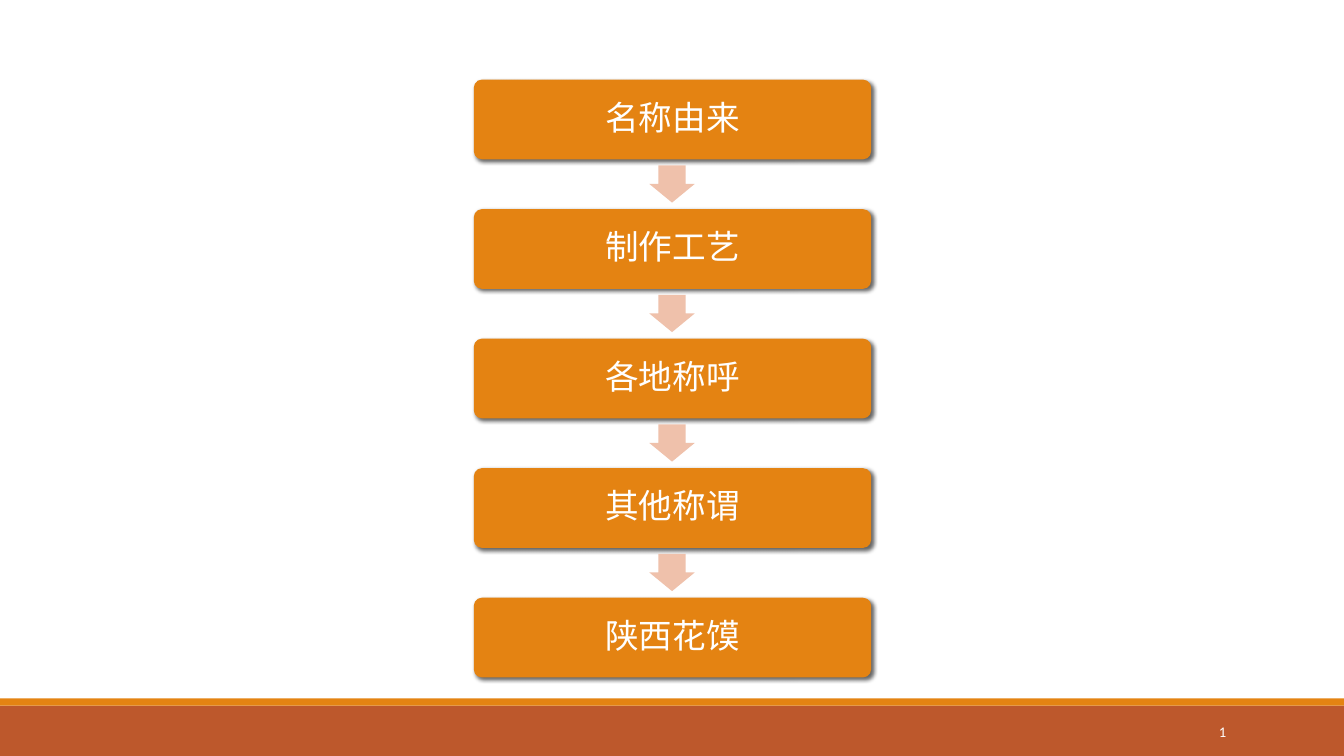
"""Build a slide with a vertical five-step flow above a two-tone footer."""
from dataclasses import dataclass

from lxml import etree
from pptx import Presentation
from pptx.dml.color import RGBColor
from pptx.enum.shapes import MSO_SHAPE
from pptx.enum.text import MSO_ANCHOR, PP_ALIGN
from pptx.oxml.ns import qn
from pptx.util import Inches, Pt

RECTANGLE = MSO_SHAPE.RECTANGLE
ROUNDED = MSO_SHAPE.ROUNDED_RECTANGLE
RIGHT_ARROW = MSO_SHAPE.RIGHT_ARROW
MIDDLE = MSO_ANCHOR.MIDDLE
CENTER, RIGHT = PP_ALIGN.CENTER, PP_ALIGN.RIGHT

FONT = "Calibri"
ORANGE, RUST, PEACH, WHITE, BLACK = "E48312", "BD582C", "EFC1AB", "FFFFFF", "000000"

STEPS = ["名称由来", "制作工艺", "各地称呼", "其他称谓", "陕西花馍"]
STEP_LEFT, STEP_TOP, STEP_PITCH = 4.7, 0.79, 1.285
STEP_WIDTH, STEP_HEIGHT = 3.94, 0.79
ARROW_LEFT, ARROW_OFFSET, ARROW_WIDTH, ARROW_HEIGHT = 6.48, 0.81, 0.37, 0.45


@dataclass(frozen=True)
class Block:
    """A filled preset shape, measured in inches."""

    kind: int
    left: float
    top: float
    width: float
    height: float
    fill: str
    adjustments: tuple[float, ...] = ()
    rotation: float = 0


FOOTER = [
    Block(RECTANGLE, 0, 7, 13.33, 0.5, RUST),
    Block(RECTANGLE, 0, 6.93, 13.33, 0.07, ORANGE),
]


def color(value: str) -> RGBColor:
    """Turn a hex string into a colour."""
    return RGBColor.from_string(value)


def add_block(shapes, block: Block):
    """Draw a block without outline or shadow."""
    shape = shapes.add_shape(
        block.kind,
        Inches(block.left),
        Inches(block.top),
        Inches(block.width),
        Inches(block.height),
    )
    shape.fill.solid()
    shape.fill.fore_color.rgb = color(block.fill)
    shape.line.fill.background()
    shape.shadow.inherit = False
    shape.rotation = block.rotation
    for index, value in enumerate(block.adjustments):
        shape.adjustments[index] = value
    return shape


def add_shadow(shape) -> None:
    """Give a shape a soft shadow to the lower right."""
    effects = shape._element.spPr.find(qn("a:effectLst"))
    shadow = etree.SubElement(
        effects,
        qn("a:outerShdw"),
        blurRad=str(Pt(3)),
        dist=str(Pt(2)),
        dir="2700000",
        algn="tl",
        rotWithShape="0",
    )
    shade = etree.SubElement(shadow, qn("a:srgbClr"), val=BLACK)
    etree.SubElement(shade, qn("a:alpha"), val="60000")


def write(shape, text: str, size: float, alignment: PP_ALIGN):
    """Write one white, vertically centred paragraph and return it."""
    frame = shape.text_frame
    frame.word_wrap = True
    frame.vertical_anchor = MIDDLE
    paragraph = frame.paragraphs[0]
    paragraph.alignment = alignment
    run = paragraph.add_run()
    run.text = text
    run.font.name = FONT
    run.font.size = Pt(size)
    run.font.color.rgb = color(WHITE)
    return paragraph


def add_step(shapes, text: str, top: float) -> None:
    """Draw one labelled step of the flow."""
    box = add_block(
        shapes,
        Block(ROUNDED, STEP_LEFT, top, STEP_WIDTH, STEP_HEIGHT, ORANGE, (0.1,)),
    )
    add_shadow(box)
    paragraph = write(box, text, 24, CENTER)
    paragraph.line_spacing = 0.9
    paragraph.space_after = Pt(8.4)


def add_arrow(shapes, step_top: float) -> None:
    """Draw the downward arrow below a step."""
    add_block(
        shapes,
        Block(
            RIGHT_ARROW,
            ARROW_LEFT,
            step_top + ARROW_OFFSET,
            ARROW_WIDTH,
            ARROW_HEIGHT,
            PEACH,
            (0.6, 0.5),
            90,
        ),
    )


def main() -> None:
    """Build and save the presentation."""
    presentation = Presentation()
    presentation.slide_width = Inches(13.33)
    presentation.slide_height = Inches(7.5)
    slide = presentation.slides.add_slide(presentation.slide_layouts[6])

    for band in FOOTER:
        add_block(slide.shapes, band)

    flow = slide.shapes.add_group_shape()
    for index, text in enumerate(STEPS):
        top = STEP_TOP + index * STEP_PITCH
        add_step(flow.shapes, text, top)
        if index < len(STEPS) - 1:
            add_arrow(flow.shapes, top)

    number = slide.shapes.add_textbox(
        Inches(10.83), Inches(7.06), Inches(1.43), Inches(0.4)
    )
    write(number, "1", 10.5, RIGHT)
    presentation.save("out.pptx")


if __name__ == "__main__":
    main()
